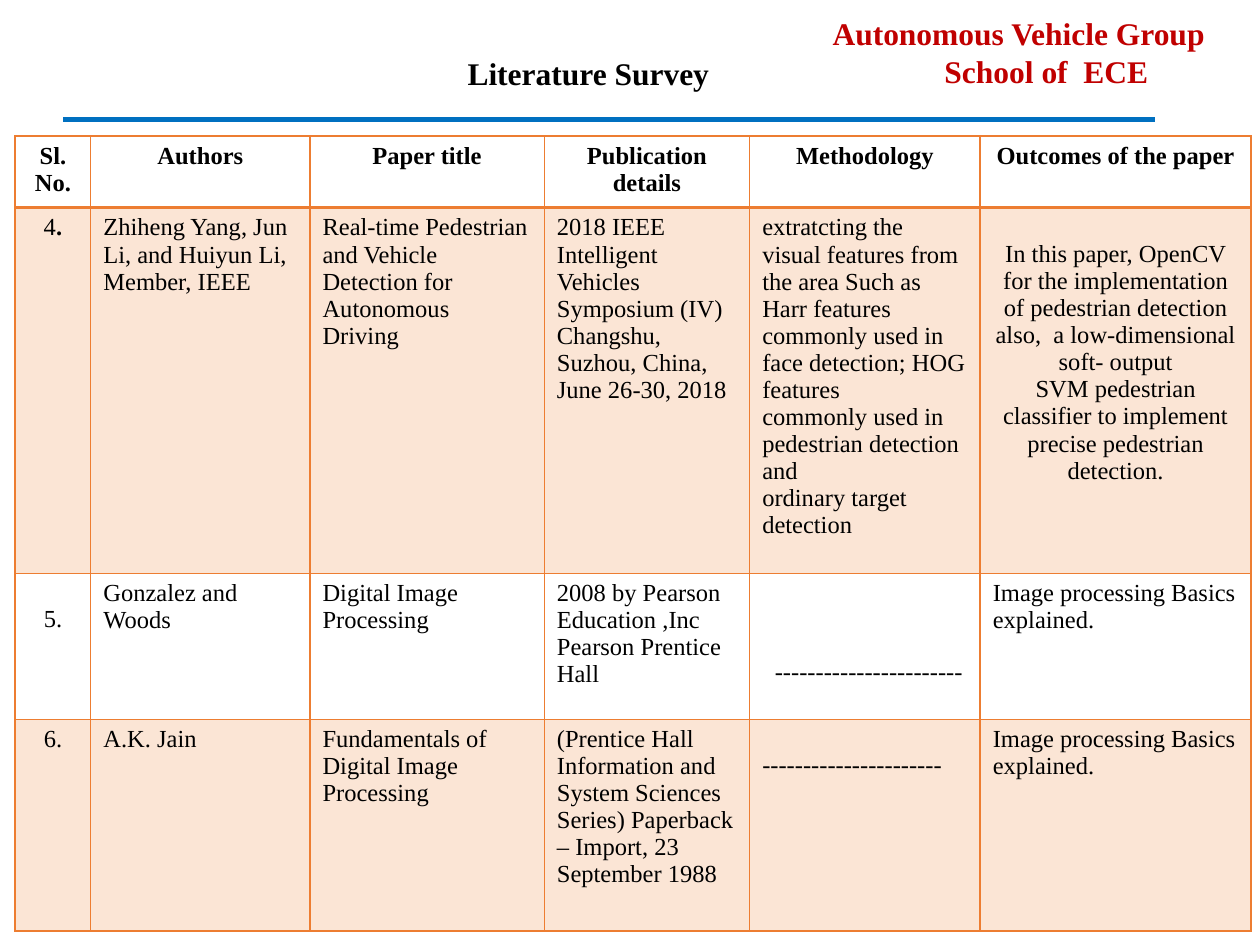
from lxml.etree import SubElement
from pptx import Presentation
from pptx.dml.color import RGBColor
from pptx.enum.shapes import MSO_CONNECTOR
from pptx.enum.text import MSO_ANCHOR, PP_ALIGN
from pptx.oxml import parse_xml
from pptx.oxml.ns import nsdecls, qn
from pptx.util import Inches, Pt

HUES = {"ink": "000000", "red": "C00000", "blue": "0070C0", "edge": "ED7D31"}
FACE = "Times New Roman"
LINE = 0.21  # height of one line of cell text, in inches

COLS = [0.6, 1.74, 1.86, 1.63, 1.83, 2.15]
HIGH = [0.57, 2.9, 1.16, 1.68]
ROWS = [
    ["Sl. No.", "Authors", "Paper title", "Publication details",
     "Methodology", "Outcomes of the paper"],
    ["4", "Zhiheng Yang, Jun Li, and Huiyun Li, Member, IEEE",
     "Real-time Pedestrian and Vehicle Detection for Autonomous Driving",
     "2018 IEEE Intelligent Vehicles Symposium (IV)\n"
     "Changshu, Suzhou, China, June 26-30, 2018",
     "extratcting the visual features from the area Such as Harr features\n"
     "commonly used in face detection; HOG features\n"
     "commonly used in pedestrian detection and\n"
     "ordinary target detection",
     "In this paper, OpenCV for the implementation of pedestrian detection "
     "also,  a low-dimensional soft- output\n"
     "SVM pedestrian classifier to implement precise pedestrian\n"
     "detection."],
    ["5.", "Gonzalez and Woods", "Digital Image Processing",
     "2008 by Pearson Education ,Inc Pearson Prentice Hall",
     "-" * 23, "Image processing Basics explained."],
    ["6.", "A.K. Jain", "Fundamentals of Digital Image Processing",
     "(Prentice Hall Information and System Sciences Series) Paperback "
     "– Import, 23 September 1988",
     "-" * 22, "Image processing Basics explained."],
]
# Lines by which a cell's text starts lower, by row and column
DROPS = {(1, 5): 1, (2, 0): 1, (2, 4): 3, (3, 4): 1}


def style(font, size, hue="ink", bold=False):
    form = {"name": FACE, "size": Pt(size), "bold": bold}
    for key, val in form.items():
        setattr(font, key, val)
    font.color.rgb = RGBColor.from_string(HUES[hue])


def write(frame, text, size, hue="ink", bold=False, align=PP_ALIGN.CENTER):
    frame.text = text
    for para in frame.paragraphs:
        para.alignment = align
        for run in para.runs:
            style(run.font, size, hue, bold)


def place(shape, left, top, width, height):
    spot = {"left": left, "top": top, "width": width, "height": height}
    for key, val in spot.items():
        setattr(shape, key, Inches(val))


def border(cell, row):
    wide = {"L": 1, "R": 1, "T": 2 if row == 1 else 1, "B": 2 if row == 0 else 1}
    props = cell._tc.get_or_add_tcPr()
    for pos, (side, size) in enumerate(wide.items()):
        props.insert(pos, parse_xml(
            f'<a:ln{side} {nsdecls("a")} w="{Pt(size)}"><a:solidFill>'
            f'<a:srgbClr val="{HUES["edge"]}"/></a:solidFill></a:ln{side}>'))


def tint(cell, row):
    if row % 2 == 0:
        cell.fill.background()
        return
    cell.fill.solid()
    cell.fill.fore_color.rgb = RGBColor.from_string(HUES["edge"])
    tone = cell._tc.tcPr.find(".//" + qn("a:srgbClr"))
    SubElement(tone, qn("a:alpha"), val="20000")


def add_grid(slide):
    spot = [Inches(n) for n in (0.12, 1.08, sum(COLS), sum(HIGH))]
    grid = slide.shapes.add_table(len(ROWS), len(COLS), *spot).table
    grid.horz_banding = False
    for col, width in zip(grid.columns, COLS):
        col.width = Inches(width)
    for r, texts in enumerate(ROWS):
        grid.rows[r].height = Inches(HIGH[r])
        for c, text in enumerate(texts):
            cell = grid.cell(r, c)
            mid = r == 0 or c == 0 or (r, c) == (1, 5)
            align = PP_ALIGN.CENTER if mid else PP_ALIGN.LEFT
            write(cell.text_frame, text, 14, bold=r == 0, align=align)
            cell.margin_top = Inches(0.05 + LINE * DROPS.get((r, c), 0))
            tint(cell, r)
            border(cell, r)
    # Bold full stop after the 4, and inset dashes in row 5
    dot = grid.cell(1, 0).text_frame.paragraphs[0].add_run()
    dot.text = "."
    style(dot.font, 14, bold=True)
    grid.cell(2, 4).margin_left = Inches(0.2)


def add_title(slide):
    title = slide.shapes.title
    place(title, 3.61, 0.38, 2.12, 0.4)
    frame = title.text_frame
    write(frame, "Literature Survey", 18, bold=True)
    frame.word_wrap = False
    frame.vertical_anchor = MSO_ANCHOR.TOP
    frame.paragraphs[0].line_spacing = 1.0
    frame.paragraphs[0].space_before = Pt(0)


def add_group(slide):
    spot = [Inches(n) for n in (6, 0.06, 4.17, 0.69)]
    frame = slide.shapes.add_textbox(*spot).text_frame
    frame.word_wrap = True
    write(frame, "Autonomous Vehicle Group\nSchool of  ECE", 18, "red", True)
    # Second line sits right of centre
    props = frame.paragraphs[1]._p.get_or_add_pPr()
    props.set("marL", str(Inches(0.44)))


def add_rule(slide):
    ends = [Inches(n) for n in (0.5, 0.95, 9.17, 0.95)]
    rule = slide.shapes.add_connector(MSO_CONNECTOR.STRAIGHT, *ends)
    rule.line.color.rgb = RGBColor.from_string(HUES["blue"])
    rule.line.width = Pt(3)
    SubElement(rule._element.spPr, qn("a:effectLst"))


def main():
    deck = Presentation()
    deck.slide_width, deck.slide_height = Inches(10), Inches(7.5)
    slide = deck.slides.add_slide(deck.slide_layouts[5])
    # Survey table, then the heading above it
    add_grid(slide)
    add_title(slide)
    add_group(slide)
    add_rule(slide)
    deck.save("out.pptx")


if __name__ == "__main__":
    main()
